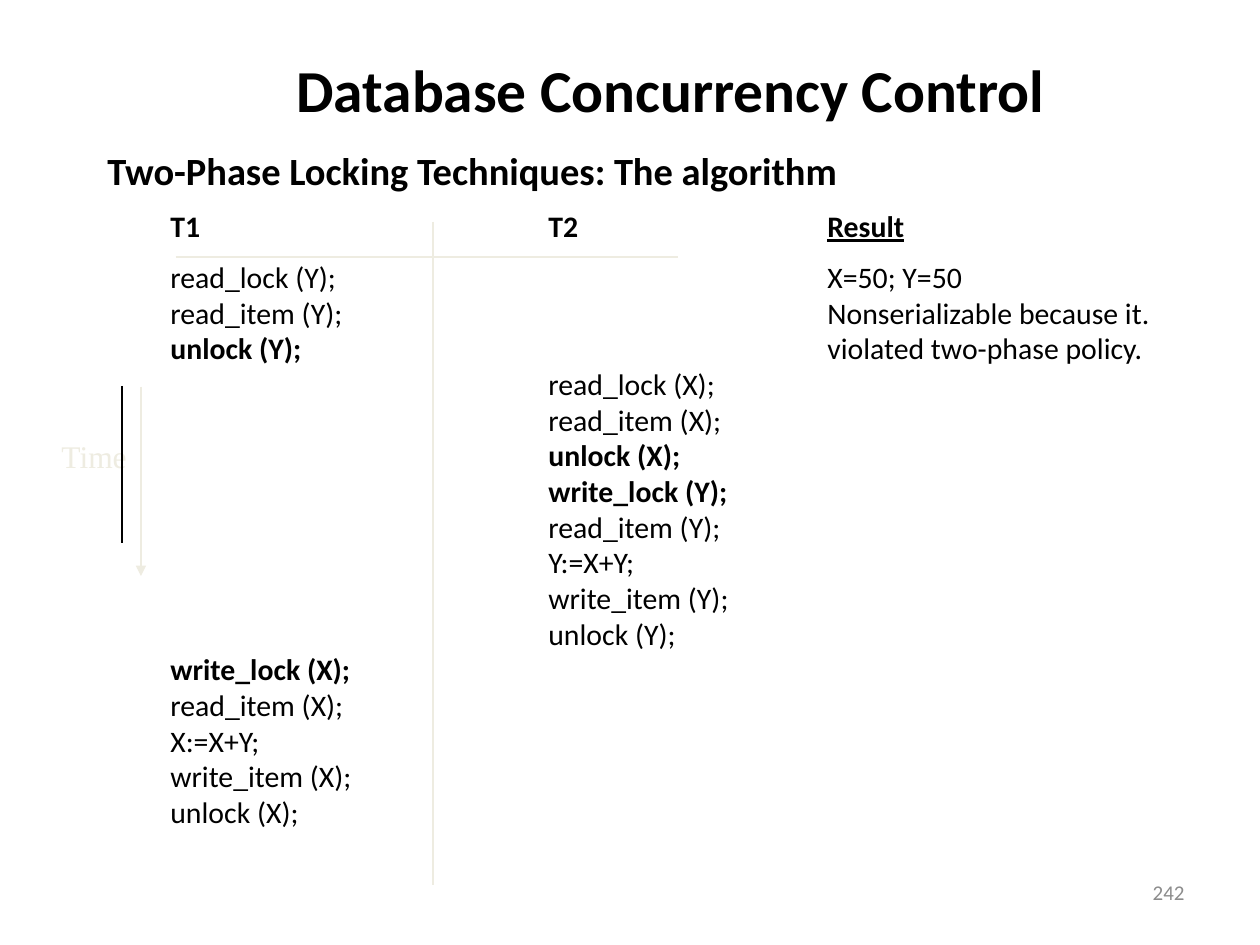
from lxml import etree
from pptx import Presentation
from pptx.dml.color import RGBColor
from pptx.enum.shapes import MSO_CONNECTOR
from pptx.enum.text import MSO_ANCHOR, MSO_AUTO_SIZE, PP_ALIGN
from pptx.oxml.ns import qn
from pptx.util import Pt

LEFT, CENTER, RIGHT = PP_ALIGN.LEFT, PP_ALIGN.CENTER, PP_ALIGN.RIGHT
TOP, MIDDLE = MSO_ANCHOR.TOP, MSO_ANCHOR.MIDDLE
STRAIGHT = MSO_CONNECTOR.STRAIGHT

# Content
TITLE = "Database Concurrency Control"
HEADING = "Two-Phase Locking Techniques: The algorithm"
COLUMN_NAMES = ("T1", "T2", "Result")
SCHEDULE = [  # T1, T2, result
    ("read_lock (Y);", "", "X=50; Y=50"),
    ("read_item (Y);", "", "Nonserializable because it."),
    ("unlock (Y);", "", "violated two-phase policy."),
    ("", "read_lock (X);", ""),
    ("", "read_item (X);", ""),
    ("", "unlock (X);", ""),
    ("", "write_lock (Y);", ""),
    ("", "read_item (Y);", ""),
    ("", "Y:=X+Y;", ""),
    ("", "write_item (Y);", ""),
    ("", "unlock (Y);", ""),
    ("write_lock (X);", "", ""),
    ("read_item (X);", "", ""),
    ("X:=X+Y;", "", ""),
    ("write_item (X);", "", ""),
    ("unlock (X);", "", ""),
]
# Steps that break the two-phase policy, as (row, column)
BOLD_STEPS = {(2, 0), (5, 1), (6, 1), (11, 0)}

# Format
COLORS = {"text": "000000", "pale": "EEECE1", "number": "8C8C8C"}
PX = 914400 / 126
TAB_STOPS = (63, 441, 720)
ROW_FORMAT = {"line_spacing": Pt(20.4), "space_before": Pt(0)}
SPACED_ROW = {**ROW_FORMAT, "space_before": Pt(8.5)}
LINES = [  # start x, start y, end x, end y, colour, width, arrow
    (122, 386, 122, 543, "text", 0.75, False),
    (141, 387, 141, 576, "pale", 1, True),
    (433, 222, 433, 885, "pale", 0.75, False),
    (176, 257, 678, 257, "pale", 0.75, False),
]


def emu(pixels):
    return round(pixels * PX)


def set_attributes(target, values):
    for name, value in values.items():
        setattr(target, name, value)


def add_run(paragraph, text, size, color="text", name="Calibri", **styles):
    run = paragraph.add_run()
    run.text = text
    set_attributes(run.font, {"size": Pt(size), "name": name, **styles})
    run.font.color.rgb = RGBColor.from_string(COLORS[color])


def add_box(slide, area, anchor=TOP, align=LEFT, wrap=True):
    frame = slide.shapes.add_textbox(*map(emu, area)).text_frame
    set_attributes(frame, {"word_wrap": wrap, "vertical_anchor": anchor})
    frame.paragraphs[0].alignment = align
    return frame


def add_row(frame, cells, row_format, styles):
    paragraph = frame.add_paragraph()
    set_attributes(paragraph, row_format)
    properties = paragraph._p.get_or_add_pPr()
    tabs = etree.SubElement(properties, qn("a:tabLst"))
    for stop in TAB_STOPS:
        etree.SubElement(tabs, qn("a:tab"), pos=str(emu(stop)), algn="l")
    last = max(i for i, cell in enumerate(cells) if cell)
    for cell, style in list(zip(cells, styles))[:last + 1]:
        add_run(paragraph, "\t", 17)
        if cell:
            add_run(paragraph, cell, 17, **style)


def add_line(slide, x1, y1, x2, y2, color, width, arrow):
    line = slide.shapes.add_connector(STRAIGHT, *map(emu, (x1, y1, x2, y2)))
    line.line.color.rgb = RGBColor.from_string(COLORS[color])
    line.line.width = Pt(width)
    if arrow:
        etree.SubElement(line.line._get_or_add_ln(), qn("a:tailEnd"), type="triangle")
    etree.SubElement(line._element.spPr, qn("a:effectLst"))


def main():
    presentation = Presentation()
    presentation.slide_width, presentation.slide_height = emu(1260), emu(945)
    slide = presentation.slides.add_slide(presentation.slide_layouts[6])

    # Slide number and title
    number = add_box(slide, (903, 861, 294, 63), MIDDLE, RIGHT)
    add_run(number.paragraphs[0], "242", 12, "number")
    title = add_box(slide, (176, 26, 989, 126), MIDDLE, CENTER)
    add_run(title.paragraphs[0], TITLE, 34, bold=True)

    # Heading and schedule, in columns set by tab stops
    body = add_box(slide, (95, 141, 1071, 683))
    add_run(body.paragraphs[0], HEADING, 22, bold=True)
    header_styles = [{"bold": True, "underline": name == "Result"} for name in COLUMN_NAMES]
    add_row(body, COLUMN_NAMES, SPACED_ROW, header_styles)
    for row, cells in enumerate(SCHEDULE):
        styles = [{"bold": (row, column) in BOLD_STEPS} for column in range(len(cells))]
        add_row(body, cells, ROW_FORMAT if row else SPACED_ROW, styles)

    # Time label, time axis and column rules
    time = add_box(slide, (49, 431, 92, 50), wrap=False)
    time.auto_size = MSO_AUTO_SIZE.SHAPE_TO_FIT_TEXT
    add_run(time.paragraphs[0], "Time", 18, "pale", "Times New Roman")
    for line in LINES:
        add_line(slide, *line)

    presentation.save("out.pptx")


if __name__ == "__main__":
    main()
